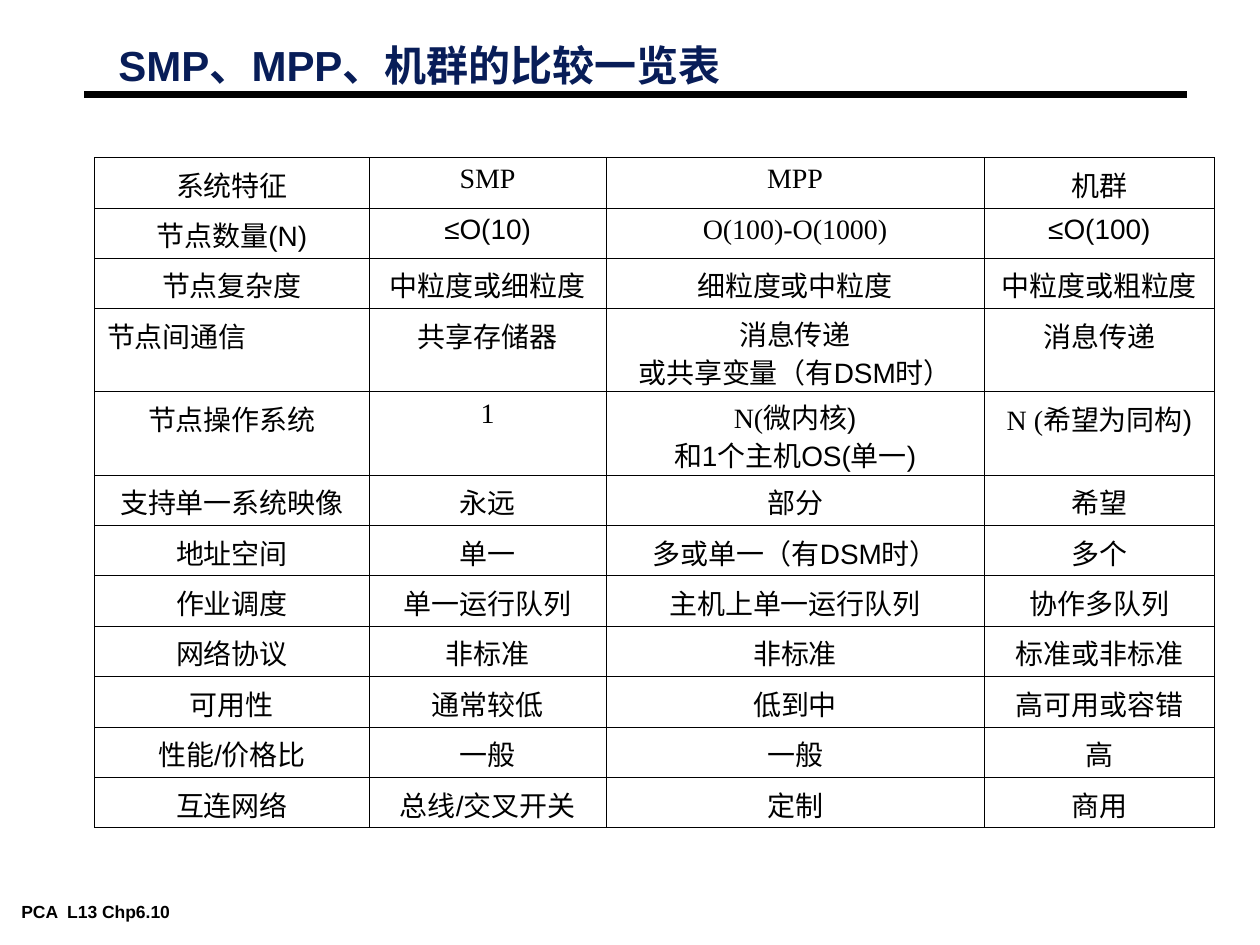
from pptx import Presentation
from pptx.dml.color import RGBColor
from pptx.enum.shapes import MSO_CONNECTOR
from pptx.enum.text import MSO_ANCHOR, MSO_AUTO_SIZE, PP_ALIGN
from pptx.oxml import parse_xml
from pptx.oxml.ns import nsdecls
from pptx.util import Inches, Pt

BLACK = RGBColor(0x00, 0x00, 0x00)
NAVY = RGBColor(0x08, 0x1D, 0x58)
SANS, SERIF = "Arial", "Times New Roman"
LEFT, CENTER = PP_ALIGN.LEFT, PP_ALIGN.CENTER
MIDDLE = MSO_ANCHOR.MIDDLE
NO_FIT = MSO_AUTO_SIZE.NONE
STRAIGHT = MSO_CONNECTOR.STRAIGHT
TITLE_ONLY = 5

COLUMN_WIDTHS = [2.18, 1.88, 3.0, 1.83]
SINGLE_ROW, DOUBLE_ROW = 0.4, 0.66
FONT_SWITCH = "|"
COMPARISON = [
    ["系统特征", "SMP", "MPP", "机群"],
    ["节点数量|(N)", "|≤O(10)", "O(100)-O(1000)", "|≤O(100)"],
    ["节点复杂度", "中粒度或细粒度", "细粒度或中粒度", "中粒度或粗粒度"],
    ["节点间通信", "共享存储器", "消息传递\n或共享变量（有|DSM|时）", "消息传递"],
    ["节点操作系统", "1", "N(微内核|)\n和|1|个主机|OS(|单一|)", "N (希望为同构|)"],
    ["支持单一系统映像", "永远", "部分", "希望"],
    ["地址空间", "单一", "多或单一（有|DSM|时）", "多个"],
    ["作业调度", "单一运行队列", "主机上单一运行队列", "协作多队列"],
    ["网络协议", "非标准", "非标准", "标准或非标准"],
    ["可用性", "通常较低", "低到中", "高可用或容错"],
    ["性能|/|价格比", "一般", "一般", "高"],
    ["互连网络", "总线|/|交叉开关", "定制", "商用"],
]
LEFT_ALIGNED = "节点间通信"


class SlideBuilder:
    def __init__(self, slide):
        self.slide = slide
        self.cell_size = 16
        self.tight_spacing = 0.94
        self.border_width = Pt(0.45)
        self.hanging = Inches(0.22)

    def style(self, run, font, size, color=BLACK, bold=False):
        run.font.name = font
        run.font.size = Pt(size)
        run.font.color.rgb = color
        run.font.bold = bold

    def inset(self, frame):
        frame.margin_left = frame.margin_right = Inches(0.07)
        frame.margin_top = frame.margin_bottom = Inches(0.03)
        frame.auto_size = NO_FIT

    def title(self, text, left, top, width, height):
        heading = self.slide.shapes.title
        heading.left, heading.top = Inches(left), Inches(top)
        heading.width, heading.height = Inches(width), Inches(height)
        frame = heading.text_frame
        self.inset(frame)
        frame.vertical_anchor = MIDDLE
        frame.text = text
        line = frame.paragraphs[0]
        line.alignment = LEFT
        line.line_spacing = 0.87
        self.style(line.runs[0], SANS, 24, NAVY, True)

    def label(self, text, left, top, width, height):
        box = self.slide.shapes.add_textbox(
            Inches(left), Inches(top), Inches(width), Inches(height))
        frame = box.text_frame
        self.inset(frame)
        frame.word_wrap = False
        frame.text = text
        self.style(frame.paragraphs[0].runs[0], SANS, 10, bold=True)

    def rule(self, start, end, y, weight):
        line = self.slide.shapes.add_connector(
            STRAIGHT, Inches(start), Inches(y), Inches(end), Inches(y))
        line.line.color.rgb = BLACK
        line.line.width = Pt(weight)
        line._element.spPr.append(parse_xml(f"<a:effectLst {nsdecls('a')}/>"))

    def table(self, rows, widths, left, top):
        heights = [DOUBLE_ROW if any("\n" in text for text in row) else SINGLE_ROW
                   for row in rows]
        grid = self.slide.shapes.add_table(
            len(rows), len(widths), Inches(left), Inches(top),
            Inches(sum(widths)), Inches(sum(heights))).table
        grid.first_row = grid.horz_banding = False
        for column, width in zip(grid.columns, widths):
            column.width = Inches(width)
        for row, height, texts in zip(grid.rows, heights, rows):
            row.height = Inches(height)
            for cell, text in zip(row.cells, texts):
                self.fill_cell(cell, text)

    def fill_cell(self, cell, text):
        properties = cell._tc.get_or_add_tcPr()
        for side in ("lnL", "lnR", "lnT", "lnB"):
            properties.append(parse_xml(
                f'<a:{side} {nsdecls("a")} w="{self.border_width}"><a:solidFill>'
                f'<a:srgbClr val="{BLACK}"/></a:solidFill></a:{side}>'))
        cell.fill.background()
        cell.margin_bottom = 0
        lines = text.split("\n")
        frame = cell.text_frame
        frame.text = "\n" * (len(lines) - 1)
        for paragraph, line in zip(frame.paragraphs, lines):
            paragraph.alignment = LEFT if text == LEFT_ALIGNED else CENTER
            if len(lines) > 1:
                paragraph.line_spacing = self.tight_spacing
            indents = paragraph._p.get_or_add_pPr()
            indents.set("marL", str(self.hanging))
            indents.set("indent", str(-self.hanging))
            for position, part in enumerate(line.split(FONT_SWITCH)):
                if part:
                    run = paragraph.add_run()
                    run.text = part
                    self.style(run, SANS if position % 2 else SERIF, self.cell_size)


def main():
    deck = Presentation()
    deck.slide_width, deck.slide_height = Inches(10), Inches(7.5)
    builder = SlideBuilder(deck.slides.add_slide(deck.slide_layouts[TITLE_ONLY]))
    builder.label("PCA  L13 Chp6.10", 0.1, 7.12, 1.84, 0.22)
    builder.rule(0.67, 9.42, 0.75, 4.5)
    builder.title("SMP、MPP、机群的比较一览表", 0.87, 0.34, 7.59, 0.4)
    builder.table(COMPARISON, COLUMN_WIDTHS, 0.75, 1.25)
    deck.save("out.pptx")


if __name__ == "__main__":
    main()
